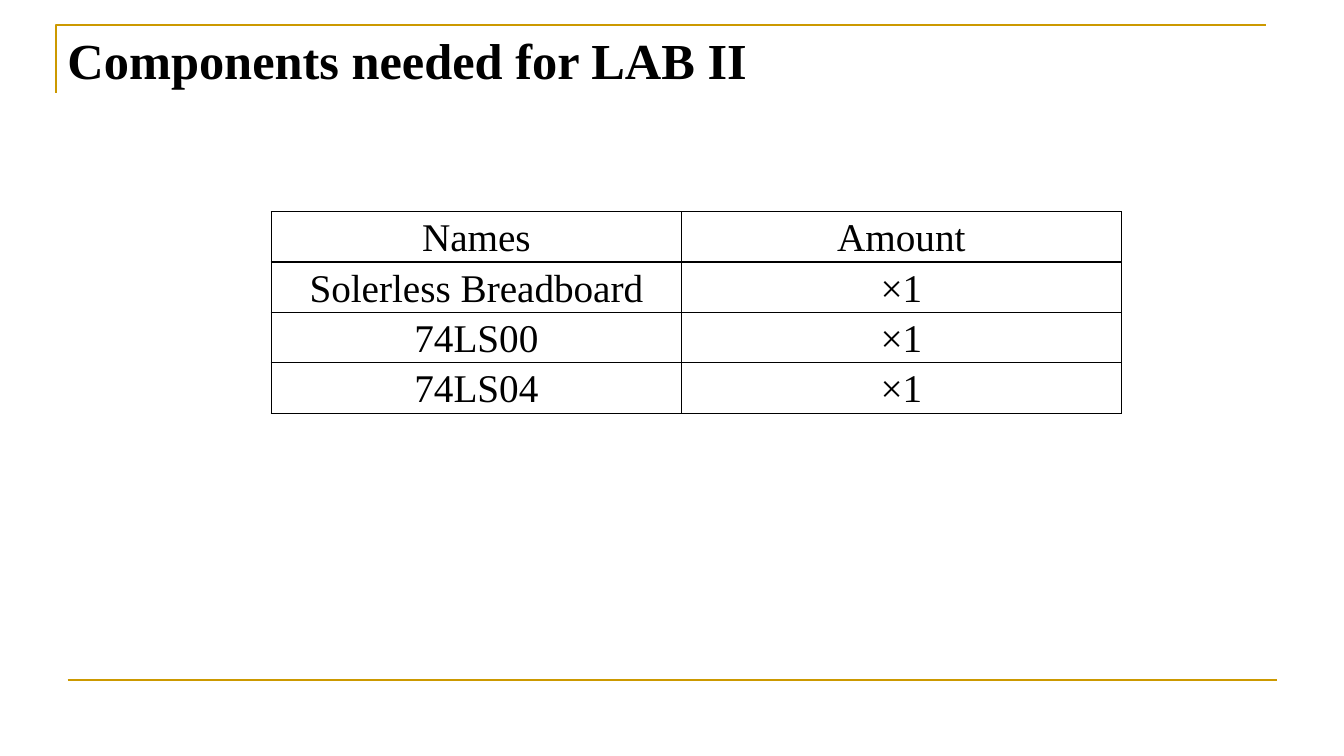
from lxml import etree
from pptx import Presentation
from pptx.dml.color import RGBColor
from pptx.enum import shapes, text
from pptx.oxml import ns
from pptx.util import Inches, Pt

FONT = "Times New Roman"
GOLD, BLACK = "CC9900", "000000"
PARTS = [
    ("Names", "Amount"),
    ("Solerless Breadboard", "×1"),
    ("74LS00", "×1"),
    ("74LS04", "×1"),
]


def color(code):
    return RGBColor.from_string(code)


def style(para, size, bold=False):
    font = para.font
    font.name, font.size, font.bold = FONT, Pt(size), bold
    font.color.rgb = color(BLACK)


def stroke(line):
    line.color.rgb = color(GOLD)
    line.width = Pt(1.5)


def frame(slide, x, y, w, h):
    # Open corner above and left of the title
    pen = slide.shapes.build_freeform(Inches(x), Inches(y + h))
    pen.add_line_segments(
        [(Inches(x), Inches(y)), (Inches(x + w), Inches(y))], close=False)
    corner = pen.convert_to_shape()
    corner.shadow.inherit = False
    corner.fill.background()
    stroke(corner.line)


def footer(slide, x, y, w):
    # Rule at the foot of the slide
    rule = slide.shapes.add_connector(
        shapes.MSO_CONNECTOR.STRAIGHT,
        Inches(x), Inches(y), Inches(x + w), Inches(y))
    stroke(rule.line)
    etree.SubElement(rule._element.spPr, ns.qn("a:effectLst"))


def title(slide, x, y, w, h, words):
    box = slide.shapes.add_textbox(Inches(x), Inches(y), Inches(w), Inches(h))
    body = box.text_frame
    body.word_wrap = True
    body.text = words
    style(body.paragraphs[0], 36, True)


def border(cell):
    props = cell._tc.get_or_add_tcPr()
    for side in "LRTB":
        edge = etree.SubElement(props, ns.qn("a:ln" + side), w=str(Pt(1)))
        fill = etree.SubElement(edge, ns.qn("a:solidFill"))
        etree.SubElement(fill, ns.qn("a:srgbClr"), val=BLACK)


def grid(slide, x, y, widths, high, rows):
    table = slide.shapes.add_table(
        len(rows), len(widths), Inches(x), Inches(y),
        Inches(sum(widths)), Inches(high * len(rows))).table
    table.first_row = table.horz_banding = False
    for col, width in zip(table.columns, widths):
        col.width = Inches(width)
    for r, row in enumerate(rows):
        for c, words in enumerate(row):
            cell = table.cell(r, c)
            cell.text = words
            cell.margin_left = cell.margin_right = Inches(0.08)
            cell.margin_top = cell.margin_bottom = 0
            cell.vertical_anchor = text.MSO_ANCHOR.MIDDLE
            border(cell)
            cell.fill.background()
            para = cell.text_frame.paragraphs[0]
            para.alignment = text.PP_ALIGN.CENTER
            para.line_spacing = 1.07
            style(para, 28)


def main():
    deck = Presentation()
    deck.slide_width, deck.slide_height = Inches(13.33), Inches(7.5)
    slide = deck.slides.add_slide(deck.slide_layouts[6])
    frame(slide, 0.56, 0.25, 12, 0.67)
    footer(slide, 0.67, 6.75, 12)
    title(slide, 0.57, 0.24, 10.08, 1.32, "Components needed for LAB II")
    grid(slide, 2.69, 2.1, (4.07, 4.36), 0.46, PARTS)
    deck.save("out.pptx")


if __name__ == "__main__":
    main()
